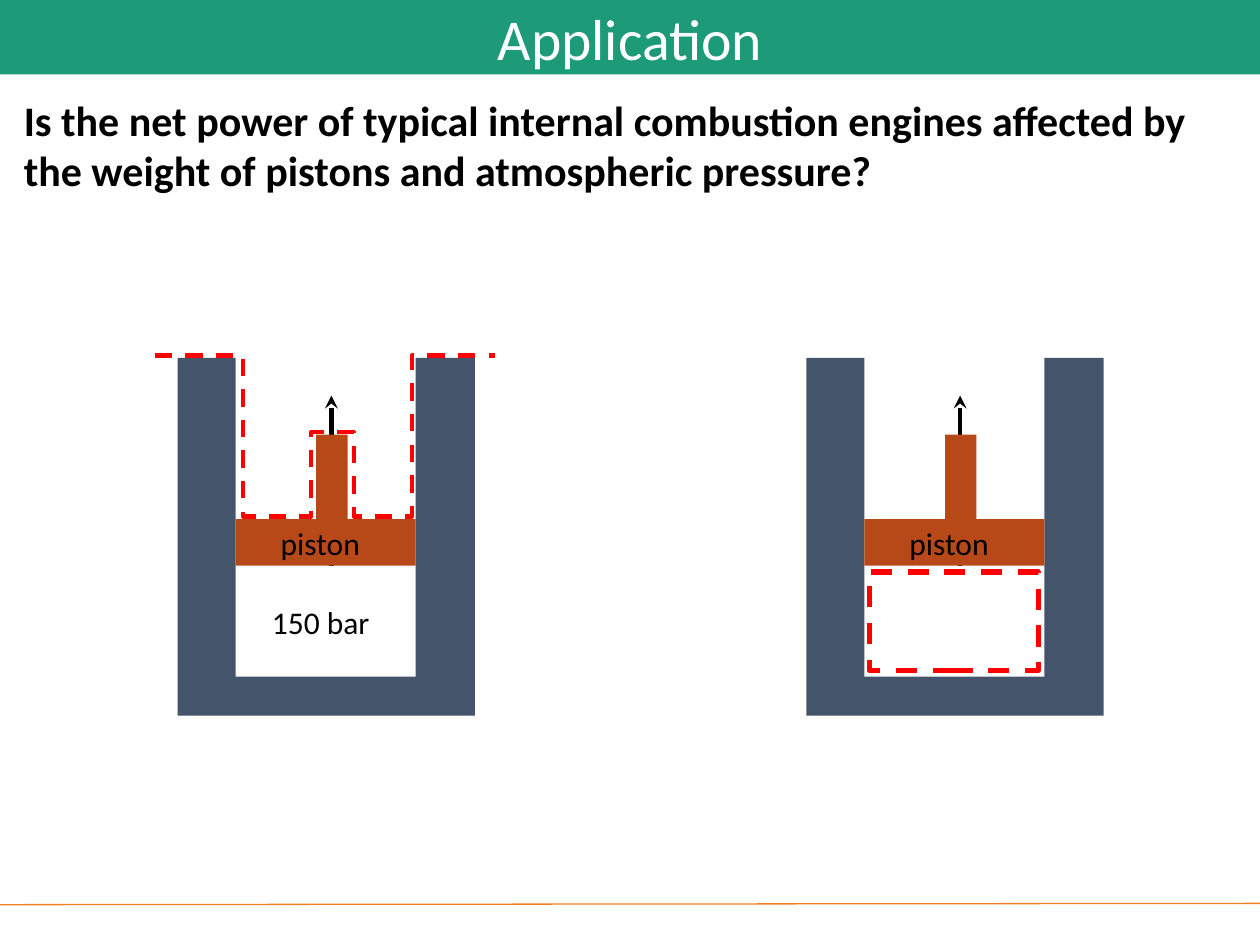
from lxml.etree import SubElement
from pptx import Presentation
from pptx.dml.color import RGBColor
from pptx.enum.dml import MSO_LINE_DASH_STYLE as DASH
from pptx.enum.shapes import MSO_CONNECTOR as CONN, MSO_SHAPE as SHAPE
from pptx.enum.text import MSO_ANCHOR as ANCHOR, MSO_AUTO_SIZE as FIT, PP_ALIGN as ALIGN
from pptx.oxml.ns import qn
from pptx.util import Inches, Pt

TITLE = "Application"
QUESTION = ("Is the net power of typical internal combustion engines affected by "
            "the weight of pistons and atmospheric pressure?")
PISTON, PRESSURE = "piston", "150 bar"
ENGINE_X = (1.41, 6.4)
CYLINDER = [((0, 2.84, 2.36, 2.84), "wall"), ((0.46, 2.53, 1.43, 2.84), "white")]
PISTON_PARTS = [((0.46, 4.12, 1.43, 0.37), "piston"), ((1.1, 3.45, 0.25, 0.7), "piston")]
ROD_X, ARROW_Y = 1.22, (4.49, 3.14)
LABEL_BOX = (0.72, 4.11, 1.26, 0.4)
GAS_BOX = (0.5, 4.54, 1.34, 0.78)
RIM_Y, CROWN_Y, ROD_Y = 2.82, 4.1, 3.43
UPPER_BOUNDARY = [(1.23, RIM_Y), (1.93, RIM_Y), (1.93, CROWN_Y), (2.47, CROWN_Y),
                  (2.47, ROD_Y), (2.81, ROD_Y), (2.81, CROWN_Y), (3.27, CROWN_Y),
                  (3.27, RIM_Y), (3.93, RIM_Y)]
THEME = {
    "font": "Calibri",
    "size": {"title": 33, "question": 24, "label": 18},
    "color": {"banner": "1D9A78", "rule": "F57E21", "wall": "44546A", "white": "FFFFFF",
              "piston": "B74919", "boundary": "FF0000", "black": "000000"},
}


def rgb(name):
    return RGBColor.from_string(THEME["color"][name])


def shift(box, dx):
    return (box[0] + dx, *box[1:])


def style_line(line, color, width, dash=None):
    line.color.rgb = rgb(color)
    line.width = Pt(width)
    if dash:
        line.dash_style = dash


def add_rect(shapes, box, fill=None):
    sp = shapes.add_shape(SHAPE.RECTANGLE, *map(Inches, box))
    sp.shadow.inherit = False
    if fill:
        sp.fill.solid()
        sp.fill.fore_color.rgb = rgb(fill)
    else:
        sp.fill.background()
    sp.line.fill.background()
    return sp


def write(sp, text, size, color="black", bold=False):
    p = sp.text_frame.paragraphs[0]
    r = p.add_run()
    r.text = text
    r.font.name = THEME["font"]
    r.font.size = Pt(THEME["size"][size])
    r.font.bold = bold
    r.font.color.rgb = rgb(color)
    return p


def add_text(shapes, box, text, size, bold=False, wrap=True):
    sp = shapes.add_textbox(*map(Inches, box))
    sp.text_frame.word_wrap = wrap
    sp.text_frame.auto_size = FIT.SHAPE_TO_FIT_TEXT
    return write(sp, text, size, bold=bold)


def add_line(shapes, start, end, color, width, arrow=False):
    sp = shapes.add_connector(CONN.STRAIGHT, *map(Inches, (*start, *end)))
    style_line(sp.line, color, width)
    if arrow:
        SubElement(sp.line._get_or_add_ln(), qn("a:tailEnd"), type="stealth")
    SubElement(sp._element.spPr, qn("a:effectLst"))


def add_engine(s, x):
    shapes = s.shapes.add_group_shape().shapes
    for box, fill in CYLINDER:
        add_rect(shapes, shift(box, x), fill)
    add_line(shapes, *[(x + ROD_X, y) for y in ARROW_Y], "black", 2.5, arrow=True)
    for box, fill in PISTON_PARTS:
        add_rect(shapes, shift(box, x), fill)
    add_text(shapes, shift(LABEL_BOX, x), PISTON, "label")
    return shapes


def add_upper_boundary(shapes):
    points = [(Inches(x), Inches(y)) for x, y in UPPER_BOUNDARY]
    builder = shapes.build_freeform(*points[0])
    builder.add_line_segments(points[1:], close=False)
    sp = builder.convert_to_shape()
    sp.shadow.inherit = False
    sp.fill.background()
    style_line(sp.line, "boundary", 2.5, DASH.DASH)


def main():
    """Build the piston application slide."""
    prs = Presentation()
    prs.slide_width, prs.slide_height = Inches(10), Inches(7.5)
    s = prs.slides.add_slide(prs.slide_layouts[6])

    banner = add_rect(s.shapes, (0, 0, 10, 0.59), "banner")
    banner.text_frame.vertical_anchor = ANCHOR.MIDDLE
    write(banner, TITLE, "title", "white").alignment = ALIGN.CENTER
    add_line(s.shapes, (0, 7.18), (10, 7.17), "rule", 0.75)
    p = add_text(s.shapes, (0.09, 0.7, 9.81, 0.91), QUESTION, "question", bold=True)
    p.space_after = Pt(18)

    left, right = [add_engine(s, x) for x in ENGINE_X]
    add_upper_boundary(left)
    gas = add_rect(right, shift(GAS_BOX, ENGINE_X[1]))
    style_line(gas.line, "boundary", 3, DASH.DASH)
    add_text(s.shapes, (2.06, 4.74, 0.99, 0.4), PRESSURE, "label", wrap=False)
    prs.save("out.pptx")


if __name__ == "__main__":
    main()
